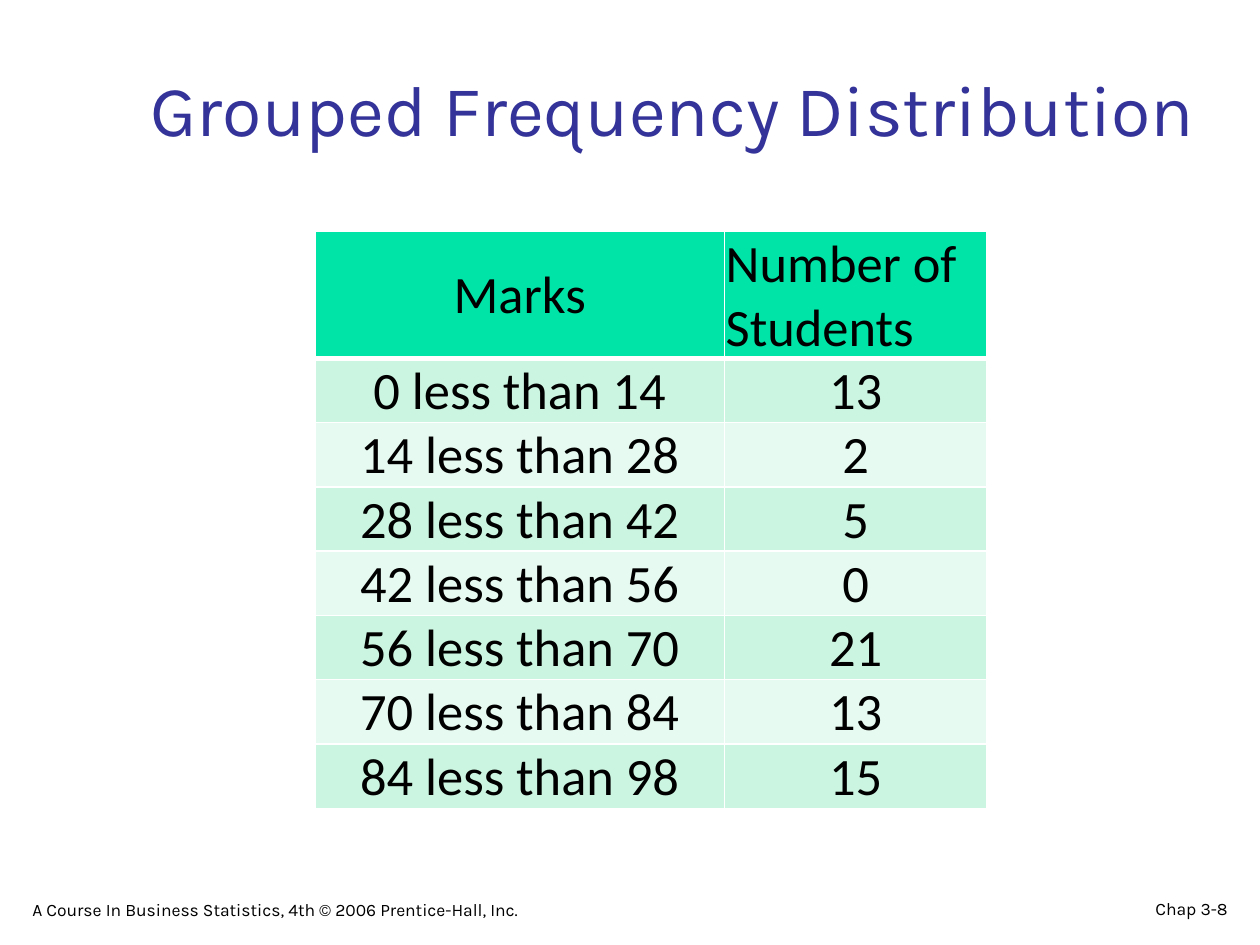
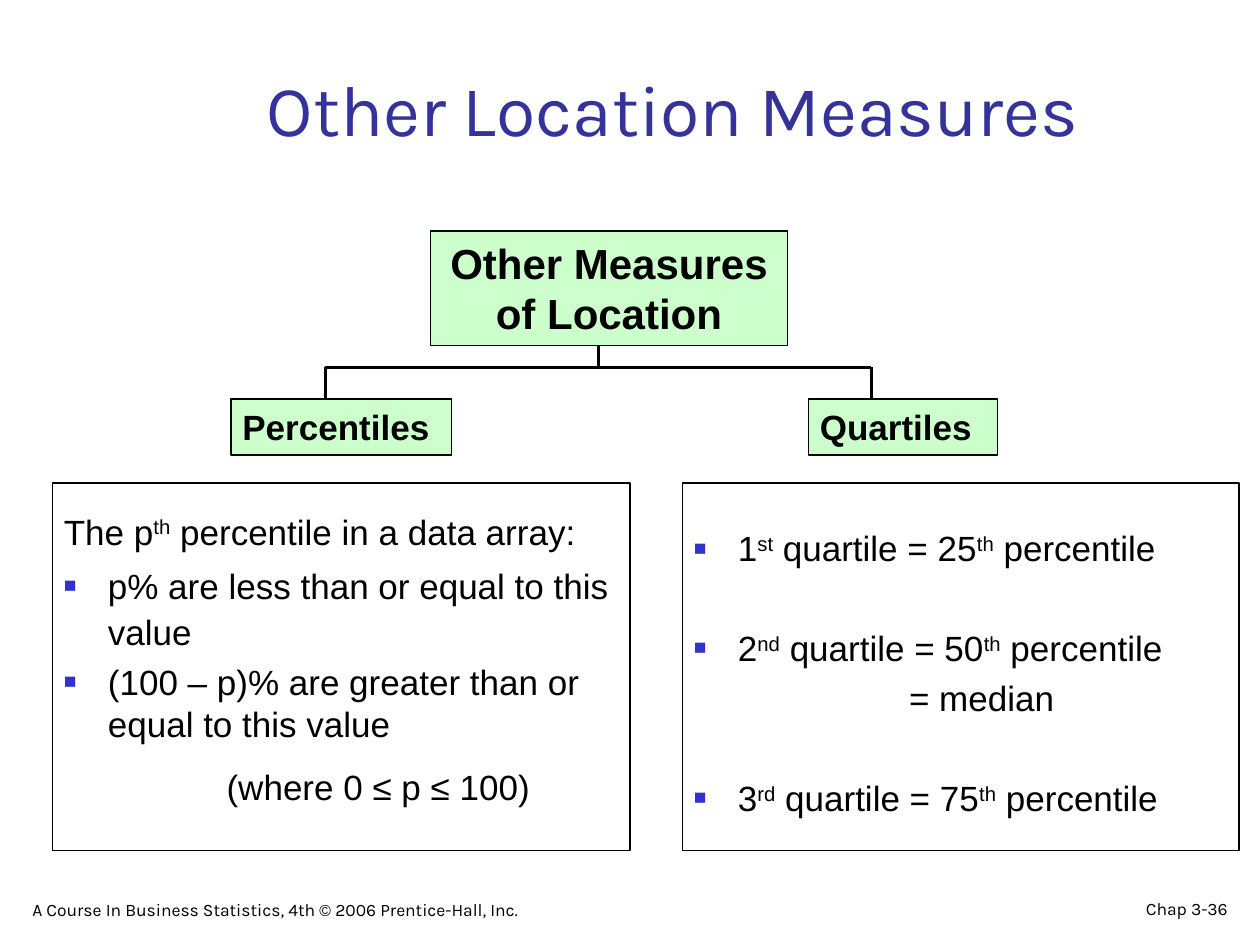
from lxml.etree import SubElement
from pptx import Presentation
from pptx.dml.color import RGBColor
from pptx.enum.shapes import MSO_CONNECTOR, MSO_SHAPE
from pptx.enum.text import MSO_ANCHOR, PP_ALIGN
from pptx.oxml import parse_xml
from pptx.oxml.ns import nsdecls, qn
from pptx.util import Pt

BLACK, WHITE, TITLE_BLUE, BULLET_BLUE = "000000", "FFFFFF", "333399", "3333CC"
HEADER_GREEN, BAND_DARK, BAND_LIGHT, BOX_GREEN = "00E4A8", "CCF5E1", "E7FAF1", "CCFFCC"
CENTER = {"alignment": PP_ALIGN.CENTER}
TITLE_FONT = {"name": "Karla", "size": Pt(41)}
FOOTER_FONT = {"name": "Karla", "size": Pt(10)}
TABLE_FONT = {"name": "Calibri", "size": Pt(30)}
BODY_FONT = {"name": "Arial", "size": Pt(20)}
MARGINS = {"margin_left": Pt(6.5), "margin_right": Pt(6.5),
           "margin_top": Pt(3.6), "margin_bottom": Pt(3.6), "word_wrap": True}


def rgb(color):
    return RGBColor.from_string(color)


def write(tf, paragraphs, font, color=BLACK, frame={}):
    """Fill a frame with (text, left indent, bulleted, format); ^ encloses superscripts."""
    for name, value in frame.items():
        setattr(tf, name, value)
    for i, (text, indent, bulleted, fmt) in enumerate(paragraphs):
        p = tf.paragraphs[0] if i == 0 else tf.add_paragraph()
        pPr = p._p.get_or_add_pPr()
        pPr.set("marL", str(Pt(indent)))
        pPr.set("indent", str(Pt(-indent if bulleted else 0)))
        if bulleted:
            SubElement(SubElement(pPr, qn("a:buClr")), qn("a:srgbClr"), val=BULLET_BLUE)
            SubElement(pPr, qn("a:buSzPct"), val="60000")
            SubElement(pPr, qn("a:buFont"), typeface="Arial")
            SubElement(pPr, qn("a:buChar"), char="■")
        for name, value in ({"alignment": PP_ALIGN.LEFT} | fmt).items():
            setattr(p, name, value)
        for j, part in enumerate(text.split("^")):
            r = p.add_run()
            r.text = part
            for name, value in font.items():
                setattr(r.font, name, value)
            r.font.color.rgb = rgb(color)
            if j % 2:
                r._r.get_or_add_rPr().set("baseline", "30000")


prs = Presentation()
prs.slide_width, prs.slide_height = Pt(720), Pt(540)

# Title and footers of both slides
slides = []
for title, page in [("Grouped Frequency Distribution", "Chap 3-8"),
                    ("Other Location Measures", "Chap 3-36")]:
    s = prs.slides.add_slide(prs.slide_layouts[6])
    slides.append(s)
    for text, box, font, color, fmt in [
        (title, (78, 30, 613.5, 60), TITLE_FONT, TITLE_BLUE, CENTER),
        (page, (558, 504, 150, 24.5), FOOTER_FONT, BLACK, {"alignment": PP_ALIGN.RIGHT}),
        ("A Course In Business Statistics, 4th © 2006 Prentice-Hall, Inc.",
         (12, 504, 366, 25.2), FOOTER_FONT, BLACK, {}),
    ]:
        sp = s.shapes.add_textbox(*map(Pt, box))
        write(sp.text_frame, [(text, 0, False, fmt)], font, color,
              MARGINS | {"vertical_anchor": MSO_ANCHOR.BOTTOM})
table_slide, tree_slide = slides

# Frequency table: classes of equal width
class_width = 14
counts = [13, 2, 5, 0, 21, 13, 15]
rows = [("Marks", "Number of Students")]
for i, count in enumerate(counts):
    rows.append((f"{i * class_width} less than {(i + 1) * class_width}", str(count)))

table = table_slide.shapes.add_table(
    len(rows), 2, Pt(180), Pt(132), Pt(384), Pt(29.5 * len(rows))).table
table.first_row = table.horz_banding = False
for column, width in zip(table.columns, (234, 150)):
    column.width = Pt(width)
for i, row in enumerate(rows):
    for j, text in enumerate(row):
        cell = table.cell(i, j)
        is_marks = (i, j) == (0, 0)
        cell_format = {"margin_left": Pt(0.72), "margin_right": Pt(0.72),
                       "margin_top": Pt(0.72), "margin_bottom": Pt(0),
                       "vertical_anchor": MSO_ANCHOR.MIDDLE if is_marks else MSO_ANCHOR.BOTTOM}
        for name, value in cell_format.items():
            setattr(cell, name, value)
        write(cell.text_frame, [(text, 0, False, CENTER if i or is_marks else {})], TABLE_FONT)
        tcPr = cell._tc.get_or_add_tcPr()
        for side in "LRTB":
            width = 3 if (i, side) in [(0, "B"), (1, "T")] else 1
            tcPr.append(parse_xml(
                f'<a:ln{side} {nsdecls("a")} w="{Pt(width)}"><a:solidFill>'
                f'<a:srgbClr val="{WHITE}"/></a:solidFill></a:ln{side}>'))
        cell.fill.solid()
        cell.fill.fore_color.rgb = rgb(
            HEADER_GREEN if i == 0 else BAND_DARK if i % 2 else BAND_LIGHT)

# Tree lines
trunk_x, left_x, right_x, branch_y = 342, 186, 498, 210
for x1, y1, x2, y2 in [(trunk_x, 174, trunk_x, branch_y),
                       (right_x, branch_y, right_x, 252),
                       (left_x, branch_y, right_x, branch_y),
                       (left_x, branch_y, left_x, 246)]:
    line = tree_slide.shapes.add_connector(MSO_CONNECTOR.STRAIGHT, *map(Pt, (x1, y1, x2, y2)))
    line.line.color.rgb = rgb(BLACK)
    line.line.width = Pt(2.25)
    SubElement(line._element.spPr, qn("a:effectLst"))

# Tree nodes and the explanations below them
bold = BODY_FONT | {"bold": True}
gap, wide_gap = {"space_before": Pt(4.6)}, {"space_before": Pt(33)}
percentiles = [
    ("The p^th^ percentile in a data array:", 0, False, {"line_spacing": 1.5}),
    ("p% are less than or equal to this value", 25.2, True, gap | {"line_spacing": 1.1}),
    ("(100 – p)% are greater than or equal to this value", 25.2, True, gap),
    ("(where 0 ≤ p ≤ 100)", 93, False, gap | {"line_spacing": 1.3}),
]
quartiles = [
    ("1^st^ quartile = 25^th^ percentile", 25.2, True, {"line_spacing": 1.9}),
    ("2^nd^ quartile = 50^th^ percentile", 25.2, True, wide_gap),
    ("= median", 123, False, gap),
    ("3^rd^ quartile = 75^th^ percentile", 25.2, True, wide_gap),
]
for box, fill, line_width, font, paragraphs in [
    ((246, 132, 204, 65.5), BOX_GREEN, 1, bold | {"size": Pt(24)},
     [("Other Measures of Location", 0, False, CENTER)]),
    ((132, 228, 126, 32), BOX_GREEN, 1, bold, [("Percentiles", 0, False, {})]),
    ((462, 228, 108, 32), BOX_GREEN, 1, bold, [("Quartiles", 0, False, {})]),
    ((390, 276, 318, 210), None, 0.75, BODY_FONT, quartiles),
    ((30, 276, 330, 210), None, 0.75, BODY_FONT, percentiles),
]:
    sp = tree_slide.shapes.add_shape(MSO_SHAPE.RECTANGLE, *map(Pt, box))
    sp.shadow.inherit = False
    if fill:
        sp.fill.solid()
        sp.fill.fore_color.rgb = rgb(fill)
    else:
        sp.fill.background()
    sp.line.color.rgb = rgb(BLACK)
    sp.line.width = Pt(line_width)
    write(sp.text_frame, paragraphs, font,
          frame=MARGINS | {"vertical_anchor": MSO_ANCHOR.TOP})

prs.save("out.pptx")
